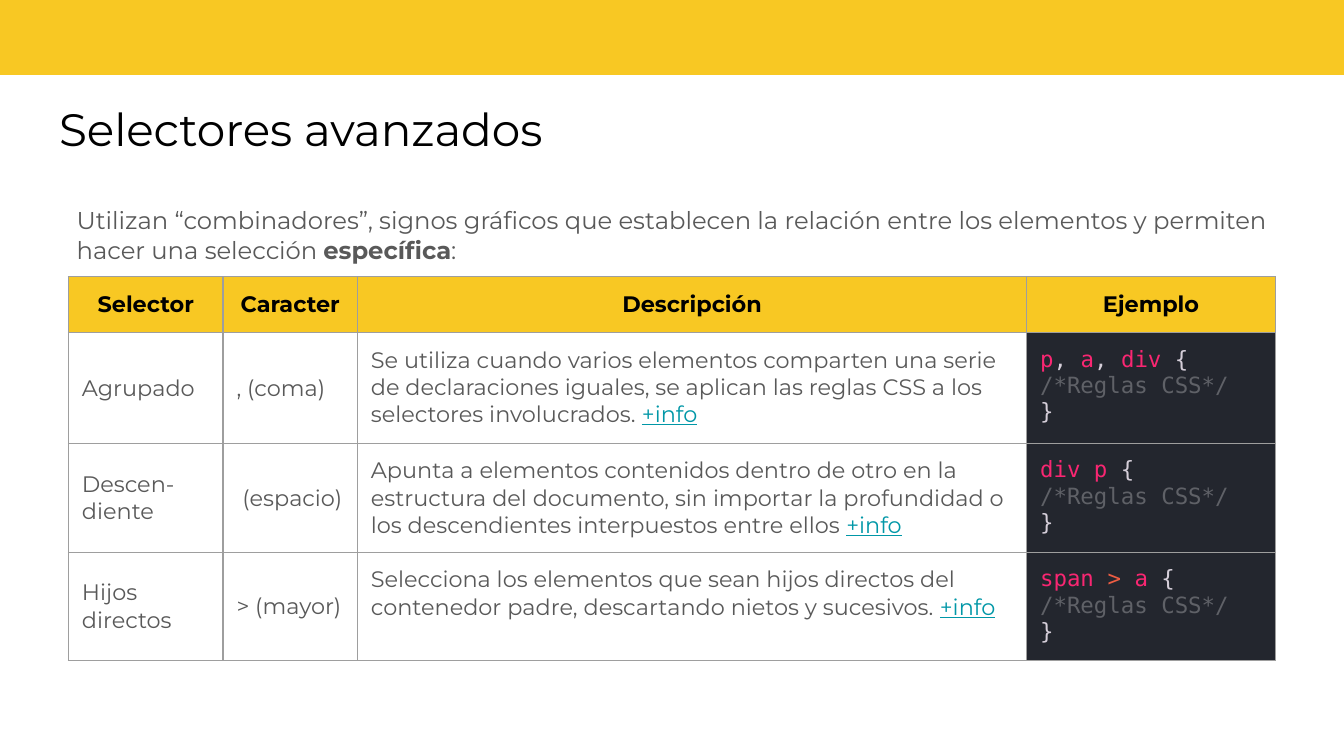
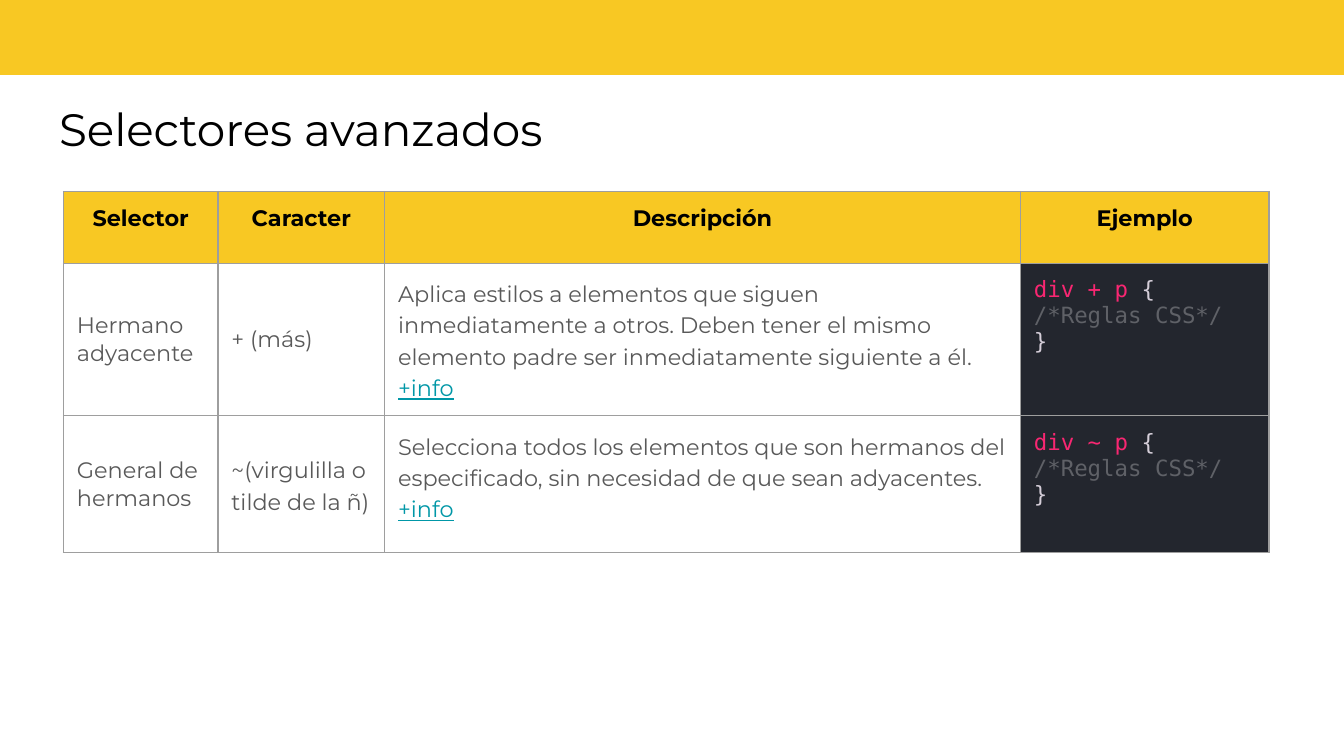
from typing import NamedTuple

from lxml import etree
from pptx import Presentation
from pptx.dml import color as dml
from pptx.enum import shapes, text
from pptx.oxml import ns
from pptx.util import Pt

# Shared look
COLORS = {
    "yellow": "F8C823", "black": "000000", "gray": "595959", "link": "0097A7",
    "border": "9E9E9E", "editor": "23262E", "tag": "F92672",
    "plain": "D5CED9", "comment": "5F6167", "operator": "EE5D43",
}
BODY_FONT = "Montserrat"
CODE_FONT = "DejaVu Sans Mono"
INSET = Pt(7.2)
TABLE_SIZE = 12
TITLE = "Selectores avanzados"
HEADERS = ("Selector", "Caracter", "Descripción", "Ejemplo")


class Piece(NamedTuple):
    """A stretch of text in one format."""
    words: str
    color: str = "gray"
    bold: bool = False
    underline: bool = False
    font: str = BODY_FONT


class Combinator(NamedTuple):
    """One table row; rule holds (words, color) pairs of its selector."""
    selector: str
    character: str
    description: str
    rule: tuple[tuple[str, str], ...]
    character_spacing: float = 1.0


class Grid(NamedTuple):
    """Place and measures of a table, in points."""
    left: float
    top: float
    widths: tuple[float, ...]
    heights: tuple[float, ...]
    description_spacing: float
    combinators: tuple[Combinator, ...]


# Content
BASIC = Grid(
    36.7, 148.3, (82.8, 72, 358.5, 133.2), (30, 59.4, 58.4, 56.4), 1.0,
    (
        Combinator(
            "Agrupado", ", (coma)",
            "Se utiliza cuando varios elementos comparten una serie de declaraciones "
            "iguales, se aplican las reglas CSS a los selectores involucrados. ",
            (("p", "tag"), (", ", "plain"), ("a", "tag"), (", ", "plain"),
             ("div", "tag"))),
        Combinator(
            "Descen- diente", " (espacio)",
            "Apunta a elementos contenidos dentro de otro en la estructura del "
            "documento, sin importar la profundidad o los descendientes "
            "interpuestos entre ellos ",
            (("div p", "tag"),)),
        Combinator(
            "Hijos directos", "> (mayor)",
            "Selecciona los elementos que sean hijos directos del contenedor padre, "
            "descartando nietos y sucesivos. ",
            (("span ", "tag"), ("> ", "operator"), ("a", "tag"))),
    ))
SIBLINGS = Grid(
    34, 102.6, (82.8, 89.3, 340.6, 133.2), (38.4, 81.6, 73.4), 1.15,
    (
        Combinator(
            "Hermano adyacente", "+ (más)",
            "Aplica estilos a elementos que siguen inmediatamente a otros. Deben "
            "tener el mismo elemento padre ser inmediatamente siguiente a él. ",
            (("div + p", "tag"),)),
        Combinator(
            "General de hermanos", "~(virgulilla o tilde de la ñ)",
            "Selecciona todos los elementos que son hermanos del especificado, sin "
            "necesidad de que sean adyacentes. ",
            (("div ~ p", "tag"),), 1.15),
    ))
INTRO = [
    Piece("Utilizan “combinadores”, signos gráficos que establecen la relación "
          "entre los elementos y permiten hacer una selección "),
    Piece("específica", bold=True),
    Piece(":"),
]


def rgb(name: str) -> dml.RGBColor:
    return dml.RGBColor.from_string(COLORS[name])


def write(frame, lines: list[list[Piece]], size: float, spacing: float = 1.0,
          align=text.PP_ALIGN.LEFT) -> None:
    """Fill a text frame with one paragraph per line of pieces."""
    frame.word_wrap = True
    for number, line in enumerate(lines):
        paragraph = frame.add_paragraph() if number else frame.paragraphs[0]
        paragraph.alignment = align
        paragraph.line_spacing = spacing
        for piece in line:
            run = paragraph.add_run()
            run.text = piece.words
            run.font.name = piece.font
            run.font.size = Pt(size)
            run.font.bold = piece.bold
            run.font.underline = piece.underline
            run.font.color.rgb = rgb(piece.color)


def set_insets(frame) -> None:
    frame.margin_left = frame.margin_right = INSET
    frame.margin_top = frame.margin_bottom = INSET


def add_borders(cell) -> None:
    properties = cell._tc.get_or_add_tcPr()
    for side in ("a:lnL", "a:lnR", "a:lnT", "a:lnB"):
        line = etree.SubElement(properties, ns.qn(side), w=str(Pt(0.75)))
        fill = etree.SubElement(line, ns.qn("a:solidFill"))
        etree.SubElement(fill, ns.qn("a:srgbClr"), val=COLORS["border"])


def format_cell(cell, lines: list[list[Piece]], fill: str | None = None,
                middle: bool = False, spacing: float = 1.0,
                align=text.PP_ALIGN.LEFT) -> None:
    set_insets(cell)
    cell.vertical_anchor = text.MSO_ANCHOR.MIDDLE if middle else text.MSO_ANCHOR.TOP
    add_borders(cell)
    if fill:
        cell.fill.solid()
        cell.fill.fore_color.rgb = rgb(fill)
    else:
        cell.fill.background()
    write(cell.text_frame, lines, TABLE_SIZE, spacing, align)


def code_lines(rule: tuple[tuple[str, str], ...]) -> list[list[Piece]]:
    """A CSS rule: selector, comment and closing brace."""
    lines = [[*rule, (" {", "plain")], [("/*Reglas CSS*/", "comment")], [("}", "plain")]]
    return [[Piece(words, color, font=CODE_FONT) for words, color in line]
            for line in lines]


def add_selector_table(slide, grid: Grid) -> None:
    table = slide.shapes.add_table(
        len(grid.heights), len(grid.widths), Pt(grid.left), Pt(grid.top),
        Pt(sum(grid.widths)), Pt(sum(grid.heights))).table
    table.first_row = table.horz_banding = False
    for column, width in zip(table.columns, grid.widths):
        column.width = Pt(width)
    for row, height in zip(table.rows, grid.heights):
        row.height = Pt(height)

    for column, header in enumerate(HEADERS):
        format_cell(table.cell(0, column), [[Piece(header, "black", bold=True)]],
                    fill="yellow", align=text.PP_ALIGN.CENTER)
    for row, item in enumerate(grid.combinators, start=1):
        selector, character, description, example = table.rows[row].cells
        format_cell(selector, [[Piece(item.selector)]], middle=True)
        format_cell(character, [[Piece(item.character)]], middle=True,
                    spacing=item.character_spacing)
        format_cell(description,
                    [[Piece(item.description), Piece("+info", "link", underline=True)]],
                    spacing=grid.description_spacing)
        format_cell(example, code_lines(item.rule), fill="editor")


def add_titled_slide(deck):
    """A slide with the yellow band and the title."""
    slide = deck.slides.add_slide(deck.slide_layouts[5])
    band = slide.shapes.add_shape(shapes.MSO_SHAPE.RECTANGLE, 0, 0,
                                  deck.slide_width, Pt(40.2))
    band.shadow.inherit = False
    band.fill.solid()
    band.fill.fore_color.rgb = rgb("yellow")
    band.line.fill.background()

    title = slide.shapes.title
    title.left, title.top, title.width, title.height = (
        Pt(24.5), Pt(46.8), Pt(669.6), Pt(45.4))
    frame = title.text_frame
    set_insets(frame)
    frame.auto_size = text.MSO_AUTO_SIZE.NONE
    frame.vertical_anchor = text.MSO_ANCHOR.TOP
    write(frame, [[Piece(TITLE, "black")]], 24.3)
    return slide


def add_intro(slide) -> None:
    intro = slide.shapes.add_textbox(Pt(34), Pt(103), Pt(652.4), Pt(261.4))
    set_insets(intro.text_frame)
    write(intro.text_frame, [INTRO], 13)


def main() -> None:
    deck = Presentation()
    deck.slide_width, deck.slide_height = Pt(720), Pt(405)

    # Combinators between groups, ancestors and parents
    basic = add_titled_slide(deck)
    add_intro(basic)
    add_selector_table(basic, BASIC)

    # Combinators between siblings
    siblings = add_titled_slide(deck)
    add_selector_table(siblings, SIBLINGS)

    deck.save("out.pptx")


if __name__ == "__main__":
    main()
